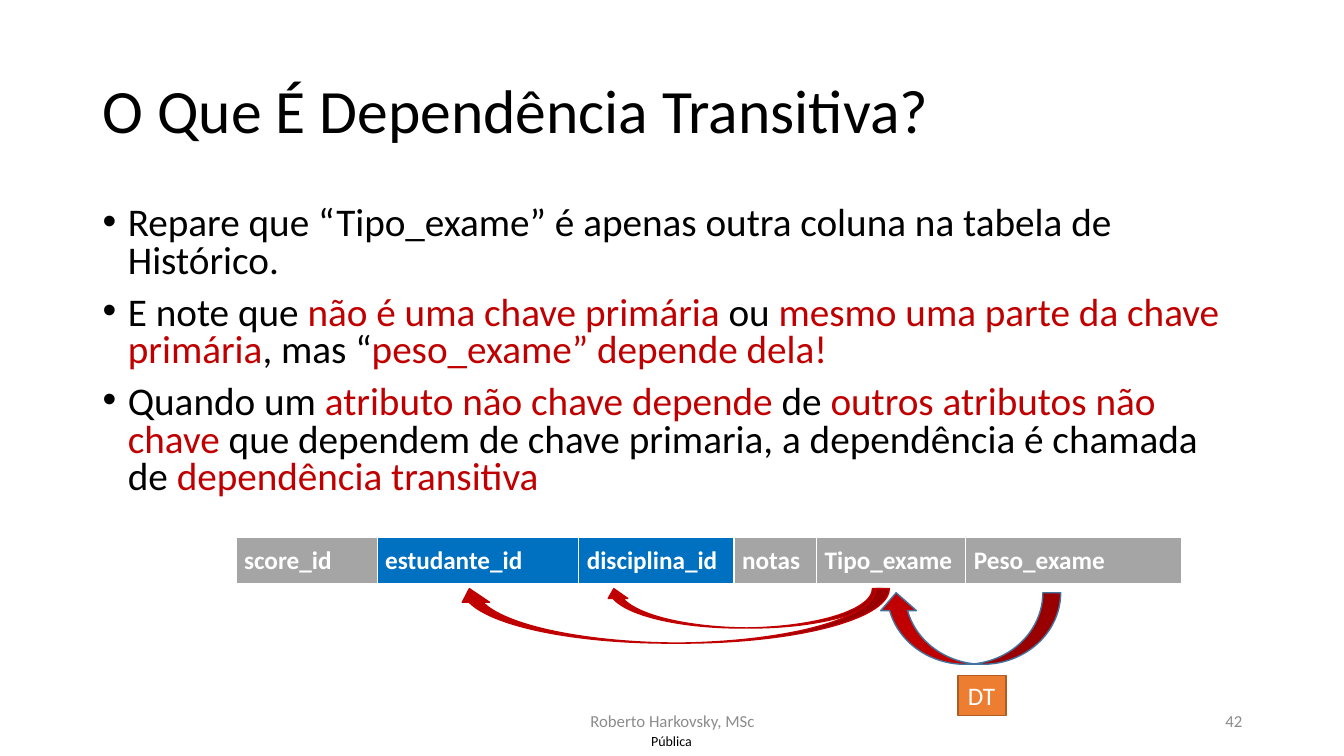
import pptx
import pptx.util
import pptx.dml.color
import pptx.enum.shapes
import pptx.enum.text
import pptx.oxml
import pptx.oxml.ns

Inches = pptx.util.Inches
Pt = pptx.util.Pt
Align = pptx.enum.text.PP_ALIGN
Anchor = pptx.enum.text.MSO_ANCHOR
Shape = pptx.enum.shapes.MSO_SHAPE

COLORS = {"black": "000000", "white": "FFFFFF", "red": "C00000", "gray": "8C8C8C",
          "plain": "A5A5A5", "key": "0070C0", "orange": "ED7D31",
          "brown": "AF5C24", "steel": "43739E"}


def color(name):
    return pptx.dml.color.RGBColor.from_string(COLORS[name])


def style(font, size, name, bold=False):
    font.name = "Calibri"
    font.size = Pt(size)
    font.bold = bold
    font.color.rgb = color(name)


deck = pptx.Presentation()
deck.slide_width = Inches(13.33)
deck.slide_height = Inches(7.5)
slide = deck.slides.add_slide(deck.slide_layouts[6])

# Title, footer, page number and label
labels = [
    ("O Que É Dependência Transitiva?", (0.92, 0.4, 11.5, 1.45), 44, "black", Align.LEFT),
    ("Roberto Harkovsky, MSc", (4.42, 6.95, 4.5, 0.4), 12, "gray", Align.CENTER),
    ("42", (9.42, 6.95, 3, 0.4), 12, "gray", Align.RIGHT),
    ("Pública", (6.31, 7.21, 0.7, 0.29), 10, "black", Align.CENTER),
]
for text, place, size, tone, align in labels:
    frame = slide.shapes.add_textbox(*map(Inches, place)).text_frame
    frame.word_wrap = True
    frame.vertical_anchor = Anchor.MIDDLE
    line = frame.paragraphs[0]
    line.text = text
    line.alignment = align
    line.line_spacing = 0.9 if size == 44 else 1.0
    style(line.font, size, tone)

# Bulleted text: black and red runs take turns
points = [
    ["Repare que “Tipo_exame” é apenas outra coluna na tabela de Histórico."],
    ["E note que ", "não é uma chave primária ", "ou ",
     "mesmo uma parte da chave primária", ", mas “", "peso_exame” depende dela!"],
    ["Quando um ", "atributo não chave depende", " de ", "outros atributos não chave",
     " que dependem de chave primaria, a dependência é chamada de ",
     "dependência transitiva"],
]
body = slide.shapes.add_textbox(Inches(0.92), Inches(2), Inches(11.5), Inches(3.31)).text_frame
body.word_wrap = True
for row, parts in enumerate(points):
    line = body.add_paragraph() if row else body.paragraphs[0]
    line.line_spacing = 0.8
    line.space_before = Pt(10)
    props = line._p.get_or_add_pPr()
    props.set("marL", str(Inches(0.25)))
    props.set("indent", str(-Inches(0.25)))
    ns = pptx.oxml.ns.nsdecls("a")
    props.append(pptx.oxml.parse_xml(f'<a:buFont {ns} typeface="Arial"/>'))
    props.append(pptx.oxml.parse_xml(f'<a:buChar {ns} char="•"/>'))
    for turn, text in enumerate(parts):
        run = line.add_run()
        run.text = text
        style(run.font, 28, "red" if turn % 2 else "black")

# Table header with key columns in blue
columns = [("score_id", 1.4, "plain"), ("estudante_id", 2, "key"),
           ("disciplina_id", 1.54, "key"), ("notas", 0.82, "plain"),
           ("Tipo_exame", 1.48, "plain"), ("Peso_exame", 2.14, "plain")]
table = slide.shapes.add_table(1, len(columns), Inches(2.34), Inches(5.33),
                               Inches(9.37), Inches(0.47)).table
table.rows[0].height = Inches(0.47)
for col, (text, width, fill) in enumerate(columns):
    table.columns[col].width = Inches(width)
    cell = table.cell(0, col)
    cell.text = text
    cell.margin_left = cell.margin_right = Inches(0.08)
    cell.margin_top = cell.margin_bottom = Inches(0.08)
    style(cell.text_frame.paragraphs[0].font, 18, "white", True)
    cell.fill.solid()
    cell.fill.fore_color.rgb = color(fill)
    props = cell._tc.get_or_add_tcPr()
    for spot, (side, weight) in enumerate([("L", 1), ("R", 1), ("T", 1), ("B", 3)]):
        props.insert(spot, pptx.oxml.parse_xml(
            f'<a:ln{side} {ns} w="{Pt(weight)}"><a:solidFill>'
            f'<a:srgbClr val="{COLORS["white"]}"/></a:solidFill></a:ln{side}>'))

# Dependency arrows, turned to point up and left, and the DT tag
marks = [
    (Shape.CURVED_DOWN_ARROW, (8.71, 5.88, 1.81, 0.71), "red", "steel", 180),
    (Shape.RECTANGLE, (9.5, 6.7, 0.48, 0.4), "orange", "brown", 0),
    (Shape.CURVED_DOWN_ARROW, (5.99, 5.84, 2.76, 0.39), "red", "red", 180),
    (Shape.CURVED_DOWN_ARROW, (4.52, 5.84, 4.3, 0.54), "red", "red", 180),
]
for kind, place, fill, edge, turn in marks:
    mark = slide.shapes.add_shape(kind, *map(Inches, place))
    mark.shadow.inherit = False
    mark.rotation = turn
    mark.fill.solid()
    mark.fill.fore_color.rgb = color(fill)
    mark.line.color.rgb = color(edge)
    mark.line.width = Pt(1)
    if kind == Shape.RECTANGLE:
        mark.text_frame.word_wrap = False
        mark.text_frame.vertical_anchor = Anchor.TOP
        line = mark.text_frame.paragraphs[0]
        line.text = "DT"
        line.alignment = Align.LEFT
        style(line.font, 18, "white")

deck.save("out.pptx")
